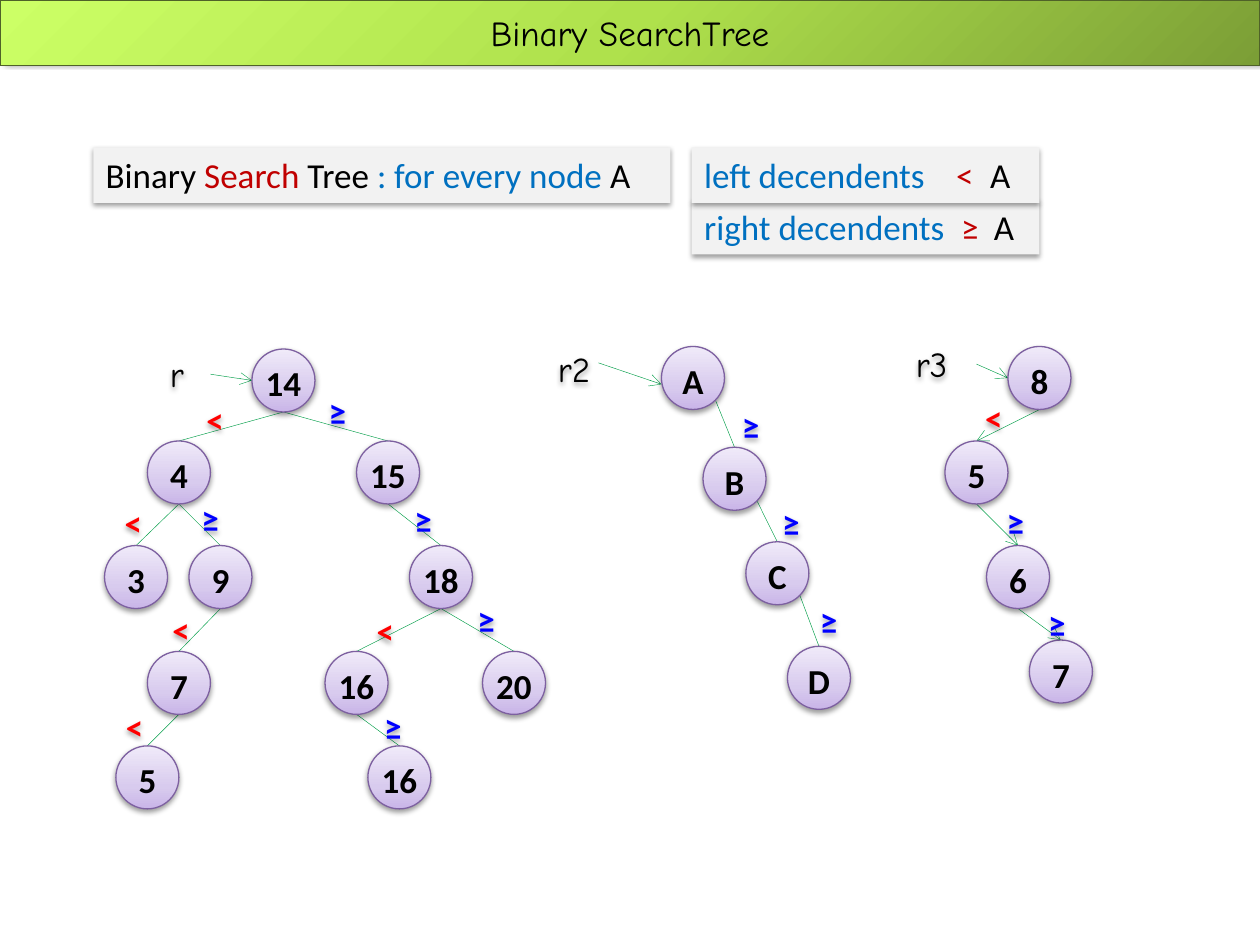
from lxml import etree
from pptx import Presentation
from pptx.dml.color import RGBColor as Rgb
from pptx.enum.shapes import MSO_CONNECTOR as Conn, MSO_SHAPE as Geo
from pptx.enum.text import MSO_ANCHOR as Anchor, MSO_AUTO_SIZE as Fit, PP_ALIGN as Align
from pptx.oxml import parse_xml
from pptx.oxml.ns import nsdecls, qn
from pptx.util import Inches, Pt

INK = {
    "text": "000000", "box": "F2F2F2", "edge": "009E47", "ring": "7D60A0",
    "frame": "4F6228", "red": "C00000", "blue": "0070C0",
    "<": "FF0000", "≥": "0000FF",
}
BALL = [(0, "C9B5E8"), (35, "D8CBEE"), (100, "F0EAF9")]
BAND = [(0, "7B9E36"), (50, "AFE14C"), (100, "CCFF66")]
UP = '<a:lin ang="16200000" scaled="0"/>'
CORNER = '<a:path path="circle"><a:fillToRect l="100000" t="100000"/></a:path>'
SOFT = (38, 3.1, 1.6, 90)  # opacity %, blur pt, distance pt, angle
SIZE = 0.5  # node diameter
HIGH = 0.44  # height of one line of text
LOW, SIDE = (0.25, 0.5), (0.43, 0.43)  # where an edge leaves its parent

# Each node: key, left, top, parent row, then sign of its edge and where it sits
MAIN = [
    ("14", 2, 2.77, None),
    ("4", 1.17, 3.5, 0, "<", 1.54, 3.11),
    ("15", 2.83, 3.5, 0, "≥", 2.51, 3.05),
    ("3", 0.83, 4.33, 1, "<", 0.89, 3.93),
    ("9", 1.5, 4.33, 1, "≥", 1.5, 3.9),
    ("18", 3.25, 4.33, 2, "≥", 3.19, 3.91),
    ("7", 1.17, 5.17, 4, "<", 1.27, 4.78),
    ("16", 2.58, 5.17, 5, "<", 2.89, 4.79),
    ("20", 3.83, 5.17, 5, "≥", 3.69, 4.7),
    ("5", 0.92, 5.92, 6, "<", 0.9, 5.55),
    ("16", 2.92, 5.92, 7, "≥", 2.95, 5.55),
]
CHAIN = [
    ("A", 5.25, 2.75, None),
    ("B", 5.58, 3.55, 0, "≥", 5.79, 3.16),
    ("C", 5.92, 4.3, 1, "≥", 6.11, 3.93),
    ("D", 6.25, 5.13, 2, "≥", 6.41, 4.71),
]
BENT = [
    ("8", 8, 2.75, None),
    ("5", 7.5, 3.5, 0, "<", 7.72, 3.1),
    ("6", 7.83, 4.33, 1, "≥", 7.89, 3.92),
    ("7", 8.17, 5.08, 2, "≥", 8.22, 4.73),
]


class Deck:
    """Holds the slide and the style of its elements."""

    def __init__(self, slide, font="Calibri", script="Comic Neue", size=20):
        self.slide, self.font, self.script, self.size = slide, font, script, size

    def say(self, para, runs, font=None, bold=False):
        """Add coloured runs to a paragraph."""
        for text, tint in runs:
            run = para.add_run()
            run.text = text
            run.font.name = font or self.font
            run.font.size = Pt(self.size)
            run.font.bold = bold
            run.font.color.rgb = Rgb.from_string(INK[tint])

    def blend(self, shape, stops, shade):
        """Fill a shape with a gradient."""
        shape.fill.background()
        marks = "".join(
            f'<a:gs pos="{pos * 1000}"><a:srgbClr val="{tint}"/></a:gs>'
            for pos, tint in stops)
        props = shape.element.spPr
        props.replace(props.find(qn("a:noFill")), parse_xml(
            f'<a:gradFill {nsdecls("a")} rotWithShape="1">'
            f"<a:gsLst>{marks}</a:gsLst>{shade}</a:gradFill>"))

    def shade(self, shape, alpha, blur, dist, angle):
        """Give a shape an outer shadow."""
        shape.shadow.inherit = False
        shape.element.spPr.find(qn("a:effectLst")).append(parse_xml(
            f'<a:outerShdw {nsdecls("a")} blurRad="{Pt(blur)}" dist="{Pt(dist)}" '
            f'dir="{angle * 60000}" rotWithShape="0"><a:srgbClr val="000000">'
            f'<a:alpha val="{alpha * 1000}"/></a:srgbClr></a:outerShdw>'))

    def stroke(self, line, tint, width):
        line.color.rgb = Rgb.from_string(INK[tint])
        line.width = Pt(width)

    def title(self, text):
        shape = self.slide.shapes.title
        shape.left, shape.top = Inches(0), Inches(0)
        shape.width, shape.height = Inches(10), Inches(0.52)
        self.blend(shape, BAND, CORNER)
        self.stroke(shape.line, "frame", 0.75)
        self.shade(shape, 40, 4, 3, 315)
        shape.text_frame.vertical_anchor = Anchor.MIDDLE
        para = shape.text_frame.paragraphs[0]
        para.alignment = Align.CENTER
        self.say(para, [(text, "text")], self.script)

    def box(self, left, top, width, runs, tabs=()):
        shape = self.slide.shapes.add_shape(
            Geo.RECTANGLE, Inches(left), Inches(top), Inches(width), Inches(HIGH))
        shape.fill.solid()
        shape.fill.fore_color.rgb = Rgb.from_string(INK["box"])
        shape.line.fill.background()
        self.shade(shape, *SOFT)
        frame = shape.text_frame
        frame.word_wrap, frame.vertical_anchor = True, Anchor.TOP
        para = frame.paragraphs[0]
        para.alignment = Align.LEFT
        if tabs:
            stops = etree.SubElement(para._p.get_or_add_pPr(), qn("a:tabLst"))
            for pos in tabs:
                etree.SubElement(stops, qn("a:tab"), pos=str(Inches(pos)), algn="l")
        self.say(para, runs)

    def label(self, left, top, width, text, tint="text", **style):
        shape = self.slide.shapes.add_textbox(
            Inches(left), Inches(top), Inches(width), Inches(HIGH))
        self.shade(shape, *SOFT)
        frame = shape.text_frame
        frame.word_wrap = tint == "text"
        frame.auto_size = Fit.SHAPE_TO_FIT_TEXT
        self.say(frame.paragraphs[0], [(text, tint)], **style)

    def edge(self, start, end, arrow=False):
        line = self.slide.shapes.add_connector(
            Conn.STRAIGHT, *map(Inches, (*start, *end)))
        self.stroke(line.line, "edge", 0.25)
        props = line.element.spPr
        if arrow:
            etree.SubElement(props.find(qn("a:ln")), qn("a:tailEnd"), type="arrow")
        etree.SubElement(props, qn("a:effectLst"))

    def node(self, key, left, top):
        shape = self.slide.shapes.add_shape(
            Geo.OVAL, Inches(left), Inches(top), Inches(SIZE), Inches(SIZE))
        self.blend(shape, BALL, UP)
        self.stroke(shape.line, "ring", 0.75)
        self.shade(shape, *SOFT)
        frame = shape.text_frame
        frame.margin_left = frame.margin_right = frame.margin_bottom = 0
        frame.margin_top = Inches(0.04)
        frame.vertical_anchor = Anchor.MIDDLE
        para = frame.paragraphs[0]
        para.alignment = Align.CENTER
        self.say(para, [(key, "text")], bold=True)

    def tree(self, nodes, port=LOW, arrow=False):
        """Draw edges, then nodes, then the signs on the edges."""
        kids = [row for row in nodes if row[3] is not None]
        for _, left, top, up, *_ in kids:
            _, x, y, *_ = nodes[up]
            self.edge((x + port[0], y + port[1]), (left + SIZE / 2, top), arrow)
        for key, left, top, *_ in nodes:
            self.node(key, left, top)
        for *_, sign, left, top in kids:
            self.label(left, top, 0.4 if sign == "<" else 0.34, sign, sign, bold=True)

    def root(self, name, left, top, width, start, end):
        """Name a tree and point at its top node."""
        self.label(left, top, width, name, font=self.script)
        self.edge(start, end, arrow=True)


def main():
    prs = Presentation()
    prs.slide_width, prs.slide_height = Inches(10), Inches(7.5)
    deck = Deck(prs.slides.add_slide(prs.slide_layouts[5]))
    deck.title("Binary SearchTree")

    deck.root("r", 1.25, 2.75, 0.42, (1.67, 2.97), (2, 3.02))
    deck.tree(MAIN)
    deck.root("r2", 4.33, 2.71, 0.67, (4.75, 2.88), (5.25, 3.05))
    deck.tree(CHAIN, port=SIDE)
    deck.root("r3", 7.17, 2.67, 0.58, (7.75, 2.89), (8, 3))
    deck.tree(BENT, arrow=True)

    deck.box(0.74, 1.17, 4.58, [
        ("Binary ", "text"), ("Search", "red"), (" Tree ", "text"),
        (": for every node ", "blue"), ("A", "text")])
    for side, sign, top, tabs in (("right", "≥", 1.58, (2.04, 2.3)),
                                  ("left", "<", 1.17, (2, 2.27))):
        deck.box(5.49, top, 2.76, [
            (f"{side} decendents\t", "blue"), (f"{sign}\t", "red"), ("A", "text")], tabs)
    prs.save("out.pptx")


if __name__ == "__main__":
    main()
